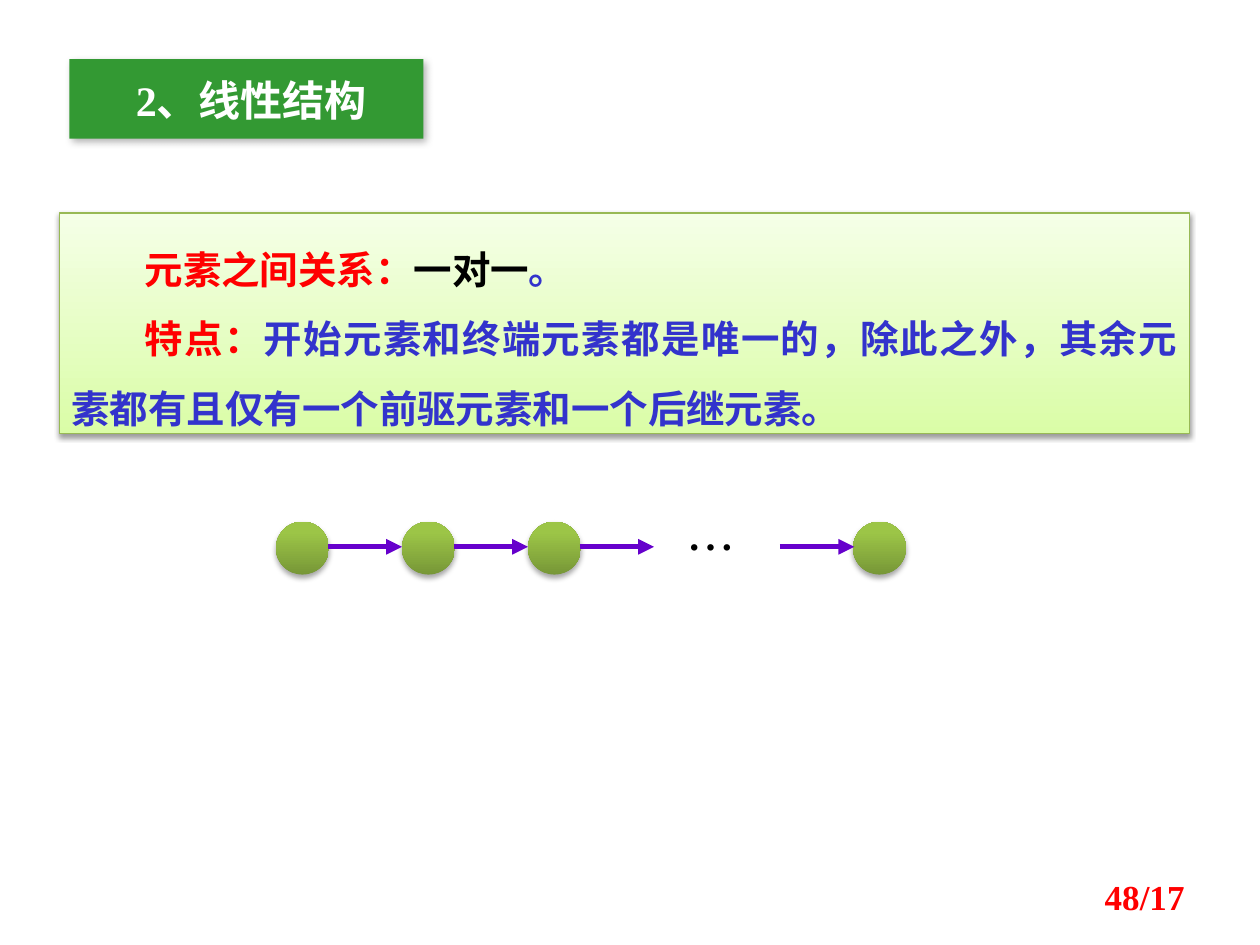
"""Build the slide on linear structures."""
from lxml.etree import SubElement
from pptx import Presentation
from pptx.dml.color import RGBColor
from pptx.enum.shapes import MSO_CONNECTOR, MSO_SHAPE
from pptx.enum.text import MSO_ANCHOR, PP_ALIGN
from pptx.oxml.ns import qn
from pptx.util import Inches, Pt

RED = RGBColor(0xFF, 0x00, 0x00)
BLUE = RGBColor(0x33, 0x33, 0xCC)
BLACK = RGBColor(0x00, 0x00, 0x00)
WHITE = RGBColor(0xFF, 0xFF, 0xFF)
GREEN = RGBColor(0x33, 0x99, 0x33)
PURPLE = RGBColor(0x66, 0x00, 0xCC)
EDGE = RGBColor(0x98, 0xB9, 0x55)
LIME = RGBColor(0xDA, 0xFD, 0xA7)
PALE = RGBColor(0xF5, 0xFF, 0xE7)
OLIVE = RGBColor(0x77, 0x97, 0x37)
LEAF = RGBColor(0x9C, 0xC5, 0x47)
TIMES, SANS, CJK = "Times New Roman", "Calibri", "Noto Sans CJK SC"


def add_run(para, text, size, face, color, bold=True):
    run = para.add_run()
    run.text = text
    font = run.font
    font.size, font.bold, font.name = Pt(size), bold, face
    font.color.rgb = color
    SubElement(font._element, qn("a:ea"), typeface=CJK)


def style(shape, low, high, alpha, blur, dist, angle):
    fill = shape.fill
    if low == high:
        fill.solid()
        fill.fore_color.rgb = low
    else:
        fill.gradient()
        fill.gradient_angle = 90
        for stop, color in zip(fill.gradient_stops, (low, high)):
            stop.color.rgb = color
    shape.line.fill.background()
    shape.shadow.inherit = False
    glow = SubElement(shape._element.spPr.find(qn("a:effectLst")), qn("a:outerShdw"),
                      blurRad=str(Pt(blur)), dist=str(Pt(dist)),
                      dir=str(angle * 60000), algn="ctr", rotWithShape="0")
    tint = SubElement(glow, qn("a:srgbClr"), val="000000")
    SubElement(tint, qn("a:alpha"), val=str(alpha * 1000))


deck = Presentation()
deck.slide_width, deck.slide_height = Inches(10), Inches(7.5)
slide = deck.slides.add_slide(deck.slide_layouts[6])

panel = slide.shapes.add_shape(MSO_SHAPE.RECTANGLE, Inches(0.47), Inches(1.69),
                               Inches(8.97), Inches(1.75))
style(panel, LIME, PALE, 38, 3.1, 1.6, 90)
panel.line.color.rgb = EDGE
panel.line.width = Pt(0.75)
frame = panel.text_frame
frame.word_wrap = True
frame.vertical_anchor = MSO_ANCHOR.TOP
frame.margin_top, frame.margin_bottom = Inches(0.08), 0
lines = [
    [("元素", SANS, RED), ("之间关系：", TIMES, RED),
     ("一对一", TIMES, BLACK), ("。", TIMES, BLUE)],
    [("特点：", TIMES, RED), ("开始元素和终端元素都是", SANS, BLUE),
     ("唯一的，除此之外，", TIMES, BLUE), ("其余元素都", SANS, BLUE),
     ("有且仅有一个前驱", TIMES, BLUE), ("元素和", SANS, BLUE),
     ("一个", TIMES, BLUE), ("后继元素。", SANS, BLUE)],
]
for i, parts in enumerate(lines):
    para = frame.add_paragraph() if i else frame.paragraphs[0]
    para.alignment = PP_ALIGN.JUSTIFY
    para.line_spacing = 1.5
    para._p.get_or_add_pPr().set("indent", str(Inches(0.58)))
    for text, face, color in parts:
        add_run(para, text, 22, face, color)

chain = slide.shapes.add_group_shape().shapes
for left in (2.19, 3.19, 4.19, 6.77):
    node = chain.add_shape(MSO_SHAPE.OVAL, Inches(left), Inches(4.14),
                           Inches(0.42), Inches(0.42))
    style(node, OLIVE, LEAF, 35, 3.1, 1.8, 90)
    node.fill.gradient_stops[1].position = 0.8
for left in (2.6, 3.6, 4.6, 6.19):
    arrow = chain.add_connector(MSO_CONNECTOR.STRAIGHT, Inches(left), Inches(4.34),
                                Inches(left + 0.59), Inches(4.34))
    arrow.line.color.rgb = PURPLE
    arrow.line.width = Pt(3)
    SubElement(arrow.line._get_or_add_ln(), qn("a:tailEnd"), type="triangle")
    SubElement(arrow._element.spPr, qn("a:effectLst"))
dots = chain.add_textbox(Inches(5.35), Inches(4.06), Inches(0.75), Inches(0.57))
dots.text_frame.word_wrap = True
add_run(dots.text_frame.paragraphs[0], "…", 28, CJK, BLACK, False)

title = slide.shapes.add_shape(MSO_SHAPE.RECTANGLE, Inches(0.55), Inches(0.47),
                               Inches(2.81), Inches(0.63))
style(title, GREEN, GREEN, 30, 4.5, 2.6, 53)
frame = title.text_frame
frame.word_wrap = True
frame.vertical_anchor = MSO_ANCHOR.TOP
frame.margin_left, frame.margin_top = Inches(0.18), Inches(0.12)
frame.paragraphs[0].alignment = PP_ALIGN.CENTER
add_run(frame.paragraphs[0], "2、线性结构", 24, TIMES, WHITE)

page = slide.shapes.add_textbox(Inches(7.17), Inches(6.95), Inches(2.33), Inches(0.4))
frame = page.text_frame
frame.word_wrap = True
frame.vertical_anchor = MSO_ANCHOR.MIDDLE
para = frame.paragraphs[0]
para.alignment = PP_ALIGN.RIGHT
para.line_spacing = 0.8
add_run(para, "48/17", 20, TIMES, RED)

deck.save("out.pptx")
